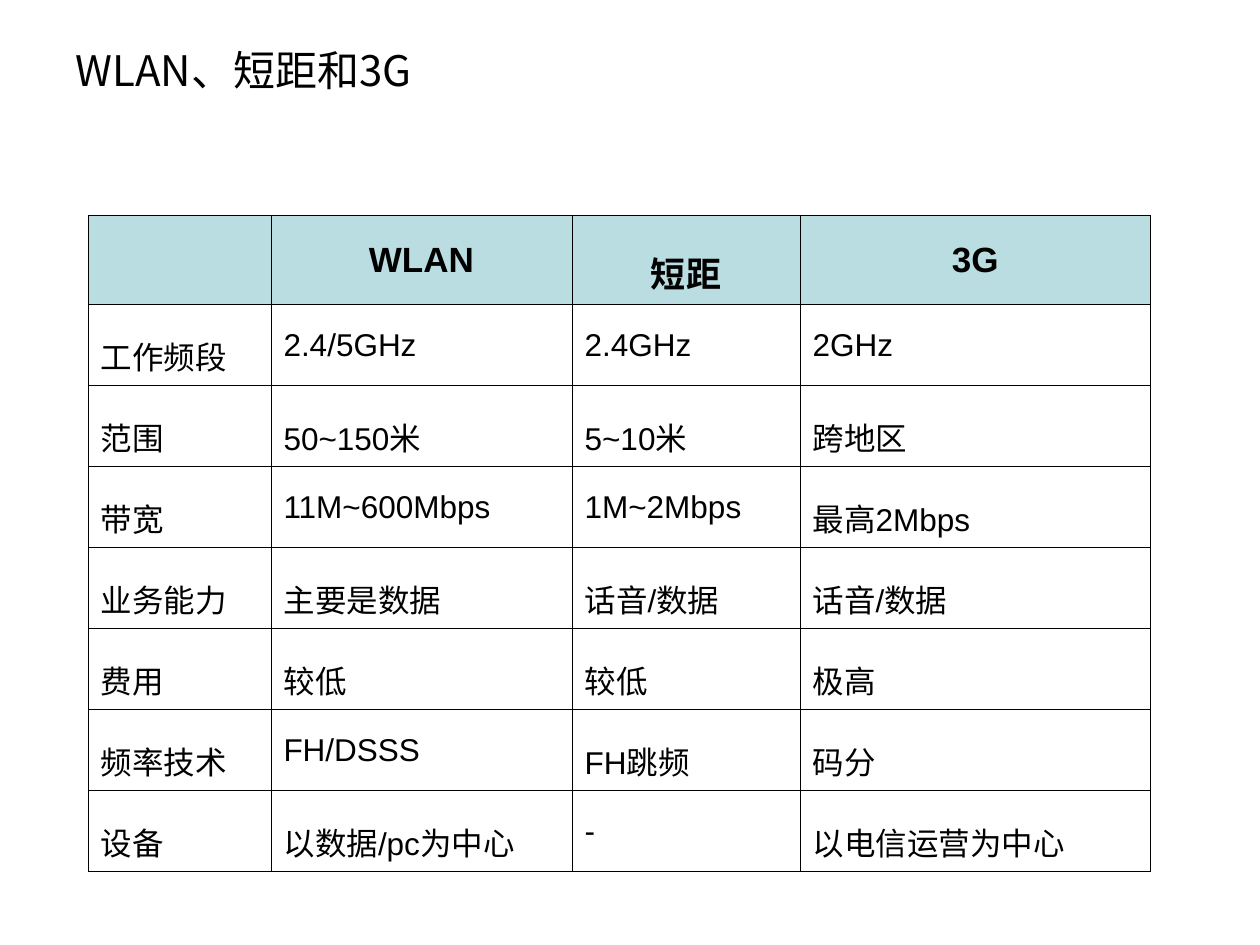
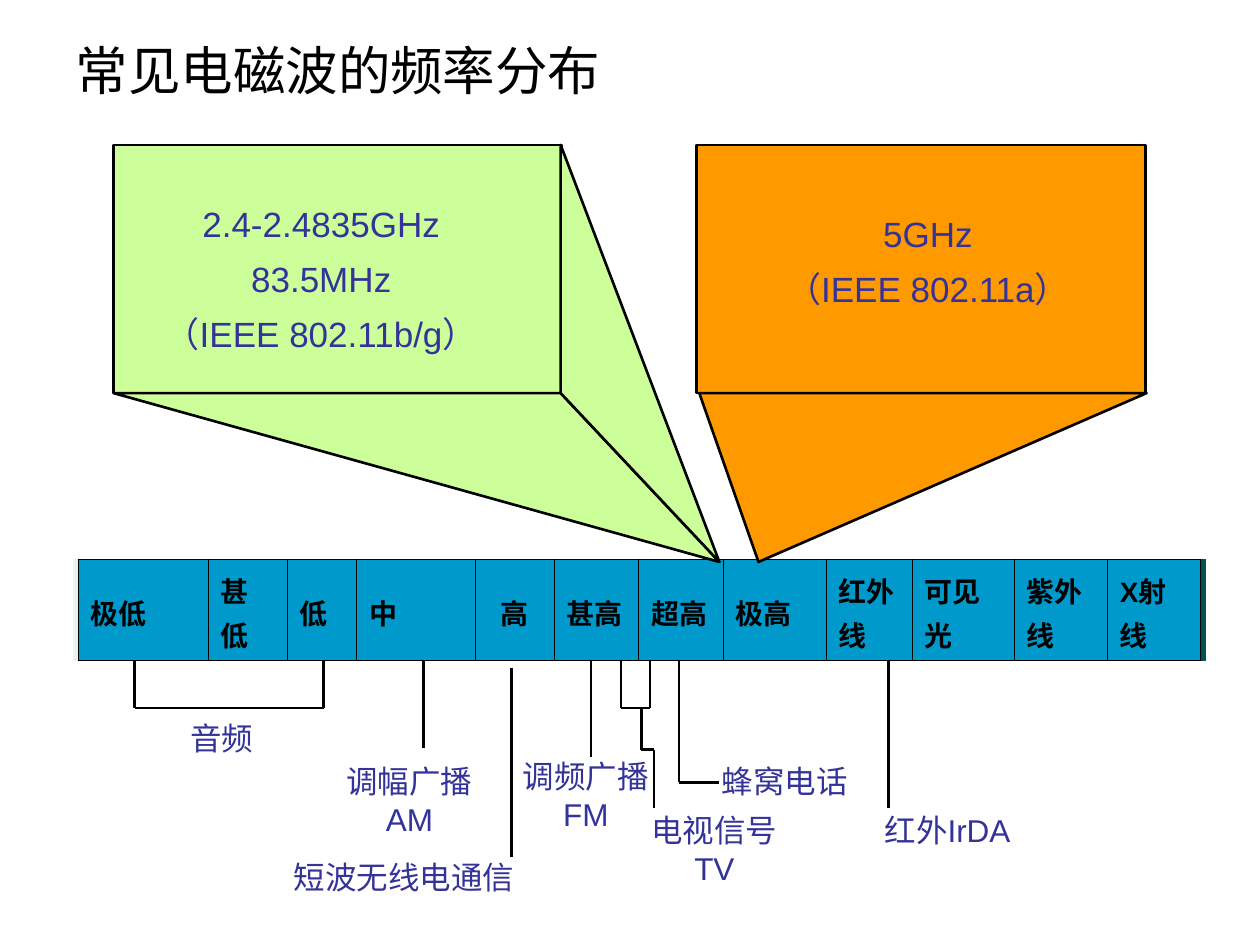
from itertools import pairwise

from lxml.etree import SubElement
from pptx import Presentation
from pptx.dml.color import RGBColor
from pptx.enum.shapes import MSO_CONNECTOR, MSO_SHAPE
from pptx.enum.text import MSO_ANCHOR, MSO_AUTO_SIZE, PP_ALIGN
from pptx.oxml import parse_xml
from pptx.oxml.ns import nsdecls, qn
from pptx.util import Inches, Pt

BLACK = RGBColor(0x00, 0x00, 0x00)
WHITE = RGBColor(0xFF, 0xFF, 0xFF)
HEADER_TEAL = RGBColor(0xBA, 0xDD, 0xE1)
BAND_BLUE = RGBColor(0x00, 0x99, 0xCC)
SHADE_LIGHT = RGBColor(0x00, 0x99, 0x99)
SHADE_DARK = RGBColor(0x00, 0x53, 0x53)
LABEL_BLUE = RGBColor(0x33, 0x33, 0x99)
GREEN = RGBColor(0xCC, 0xFF, 0x99)
ORANGE = RGBColor(0xFF, 0x99, 0x00)

LATIN_FONT = "Arial"
CHINESE_FONT = "Noto Sans CJK SC"
SLIDE_WIDTH, SLIDE_HEIGHT = Inches(10), Inches(7.5)
GRID_COLUMNS = 100
LINE_WIDTH = 1.5
THIN, MEDIUM = 0.45, 0.75

COMPARISON_COLUMNS = (14.5, 23.9, 18.1, 27.8)
COMPARISON_ROWS = (6.3, *[5.5] * 6, 6.3)
COMPARISON = (
    ("", "WLAN", "短距", "3G"),
    ("工作频段", "2.4/5GHz", "2.4GHz", "2GHz"),
    ("范围", "50~150米", "5~10米", "跨地区"),
    ("带宽", "11M~600Mbps", "1M~2Mbps", "最高2Mbps"),
    ("业务能力", "主要是数据", "话音/数据", "话音/数据"),
    ("费用", "较低", "较低", "极高"),
    ("频率技术", "FH/DSSS", "FH跳频", "码分"),
    ("设备", "以数据/pc为中心", "-", "以电信运营为中心"),
)

BANDS = (
    ("极低", 10.3), ("甚低", 6.3), ("低", 5.5), ("中", 9.4),
    ("高", 6.3), ("甚高", 6.7), ("超高", 6.7), ("极高", 8.2),
    ("红外\n线", 6.8), ("可见光", 8.1), ("紫外\n线", 7.4), ("X射线", 7.4),
)
BAND_TOP, BAND_BOTTOM, BRACKET_ROW = 44.4, 52.4, 56.2

LEADER_LINES = (
    ((10.7, BAND_BOTTOM), (10.7, BRACKET_ROW), (25.7, BRACKET_ROW), (25.7, BAND_BOTTOM)),
    ((33.6, BAND_BOTTOM), (33.6, 59.4)),
    ((40.6, 53), (40.6, 68)),
    ((46.9, BAND_BOTTOM), (46.9, 60.1)),
    ((49.3, BAND_BOTTOM), (49.3, BRACKET_ROW), (51.6, BRACKET_ROW), (51.6, BAND_BOTTOM)),
    ((50.9, BRACKET_ROW), (50.9, 59.5), (51.9, 59.5), (51.9, 64.1)),
    ((53.9, BAND_BOTTOM), (53.9, 62.1), (57.1, 62.1)),
    ((70.5, BAND_BOTTOM), (70.5, 64.1)),
)

USE_LABELS = (
    ("音频", 15.1, 57.1, 5),
    ("调幅广播\nAM", 27.5, 60.5, 10),
    ("短波无线电通信", 23.3, 68.1, 17.5),
    ("调频广播\nFM", 41.5, 60.1, 10),
    ("电视信号\nTV", 51.7, 64.4, 10),
    ("蜂窝电话", 57.3, 60.5, 10),
    ("红外IrDA", 70.2, 64.4, 10.6),
)

PANEL_TOP, PANEL_WIDTH, PANEL_HEIGHT = 11.5, 35.6, 19.7
PANEL_BOTTOM = PANEL_TOP + PANEL_HEIGHT
GREEN_LEFT, GREEN_RIGHT, GREEN_TIP = 9, 44.5, (57.1, 44.6)
ORANGE_LEFT, ORANGE_RIGHT, ORANGE_TIP = 55.3, 91, (60.2, 44.6)


def grid(count):
    """Return the length of a number of grid cells."""
    return round(SLIDE_WIDTH * count / GRID_COLUMNS)


def write_text(frame, text, *, size=18, color=BLACK, font=LATIN_FONT, bold=False,
               align=PP_ALIGN.LEFT, spacing=None):
    """Fill a text frame with one paragraph for each line of text."""
    for index, line in enumerate(text.split("\n")):
        paragraph = frame.add_paragraph() if index else frame.paragraphs[0]
        paragraph.alignment = align
        paragraph.line_spacing = spacing
        run = paragraph.add_run()
        run.text = line
        run.font.size = Pt(size)
        run.font.bold = bold
        run.font.name = font
        run.font.color.rgb = color
        SubElement(run.font._element, qn("a:ea"), typeface=CHINESE_FONT)


def add_titled_slide(presentation, title, size):
    """Add a slide with the shared title style."""
    slide = presentation.slides.add_slide(presentation.slide_layouts[5])
    shape = slide.shapes.title
    shape.left, shape.top, shape.width, shape.height = map(grid, (5, 1.3, 82, 8.5))
    frame = shape.text_frame
    frame.auto_size = MSO_AUTO_SIZE.NONE
    frame.vertical_anchor = MSO_ANCHOR.MIDDLE
    write_text(frame, title, size=size, font=CHINESE_FONT)
    return slide


def add_label(slide, text, left, top, width, height, **text_format):
    """Add an unwrapped text box without margins."""
    frame = slide.shapes.add_textbox(*map(grid, (left, top, width, height))).text_frame
    frame.margin_left = frame.margin_top = frame.margin_right = frame.margin_bottom = 0
    frame.word_wrap = False
    write_text(frame, text, color=LABEL_BLUE, **text_format)


def add_grid_table(slide, left, top, columns, rows):
    """Add a plain table with the given column widths and row heights."""
    table = slide.shapes.add_table(
        len(rows), len(columns), *map(grid, (left, top, sum(columns), sum(rows)))).table
    table.first_row = table.horz_banding = False
    for column, width in zip(table.columns, columns):
        column.width = grid(width)
    for row, height in zip(table.rows, rows):
        row.height = grid(height)
    return table


def style_cell(cell, fill, **borders):
    """Set the fill of a cell and the widths of its borders."""
    cell.fill.solid()
    cell.fill.fore_color.rgb = fill
    properties = cell._tc.get_or_add_tcPr()
    for index, side in enumerate("LRTB"):
        width = Pt(borders.get(side, THIN))
        properties.insert(index, parse_xml(
            f'<a:ln{side} {nsdecls("a")} w="{width}"><a:solidFill>'
            f'<a:srgbClr val="{BLACK}"/></a:solidFill></a:ln{side}>'))


def add_trace(slide, points):
    """Join points with straight lines."""
    for start, end in pairwise(points):
        line = slide.shapes.add_connector(MSO_CONNECTOR.STRAIGHT, *map(grid, start + end))
        line.line.color.rgb = BLACK
        line.line.width = Pt(LINE_WIDTH)
        SubElement(line._element.spPr, qn("a:effectLst"))


def style_shape(shape, fill):
    """Give a shape a flat fill and a black outline."""
    shape.shadow.inherit = False
    shape.fill.solid()
    shape.fill.fore_color.rgb = fill
    shape.line.color.rgb = BLACK
    shape.line.width = Pt(LINE_WIDTH)


def add_panel(slide, left, fill):
    """Add a frequency panel above the spectrum."""
    style_shape(slide.shapes.add_shape(
        MSO_SHAPE.RECTANGLE, *map(grid, (left, PANEL_TOP, PANEL_WIDTH, PANEL_HEIGHT))), fill)


def add_funnel(slide, fill, *points):
    """Add a closed outline that points from a panel to the spectrum."""
    start, *others = [tuple(map(grid, point)) for point in points]
    builder = slide.shapes.build_freeform(*start)
    builder.add_line_segments(others, close=True)
    style_shape(builder.convert_to_shape(), fill)


def add_band_shade(slide):
    """Add the graded bar behind the spectrum."""
    shade = slide.shapes.add_shape(
        MSO_SHAPE.RECTANGLE, *map(grid, (5.8, BAND_TOP, 89.9, BAND_BOTTOM - BAND_TOP)))
    shade.shadow.inherit = False
    shade.line.fill.background()
    shade.fill.gradient()
    shade.fill.gradient_angle = 0
    for stop, color in zip(shade.fill.gradient_stops, (SHADE_LIGHT, SHADE_DARK)):
        stop.color.rgb = color
    first_color = next(shade._element.spPr.iter(qn("a:srgbClr")))
    SubElement(first_color, qn("a:alpha"), val="10000")


def add_comparison(slide):
    """Add the table that compares the three technologies."""
    table = add_grid_table(slide, 7, 17.1, COMPARISON_COLUMNS, COMPARISON_ROWS)
    for row, texts in enumerate(COMPARISON):
        header = row == 0
        for column, text in enumerate(texts):
            cell = table.cell(row, column)
            style_cell(cell, WHITE if row else HEADER_TEAL)
            if text:
                write_text(cell.text_frame, text, size=20 if header else 18, bold=header,
                           align=PP_ALIGN.CENTER if header else PP_ALIGN.LEFT, spacing=1.5)


def add_spectrum(slide):
    """Add the one-row table of frequency bands."""
    table = add_grid_table(slide, 6.2, BAND_TOP, [width for _, width in BANDS], [7.9])
    last = len(BANDS) - 1
    for column, (text, _) in enumerate(BANDS):
        cell = table.cell(0, column)
        cell.vertical_anchor = MSO_ANCHOR.MIDDLE
        style_cell(cell, BAND_BLUE, T=MEDIUM, B=MEDIUM,
                   L=THIN if column else MEDIUM, R=MEDIUM if column == last else THIN)
        write_text(cell.text_frame, text, size=16, bold=True, spacing=1.1,
                   align=PP_ALIGN.CENTER if text == "高" else PP_ALIGN.LEFT)


def add_uses(slide):
    """Add the leader lines and labels below the spectrum."""
    for points in LEADER_LINES:
        add_trace(slide, points)
    for text, left, top, width in USE_LABELS:
        lines = text.count("\n") + 1
        add_label(slide, text, left, top, width, 3 * lines,
                  align=PP_ALIGN.CENTER if lines > 1 else PP_ALIGN.LEFT)


def add_wireless_panels(slide):
    """Add the two panels with their texts and funnels."""
    add_panel(slide, ORANGE_LEFT, ORANGE)
    add_panel(slide, GREEN_LEFT, GREEN)
    panel_format = dict(size=20, align=PP_ALIGN.CENTER, spacing=1.3)
    add_label(slide, "2.4-2.4835GHz\n83.5MHz\n（IEEE 802.11b/g）",
              12.3, 15.1, 26.4, 13, **panel_format)
    add_label(slide, "5GHz\n（IEEE 802.11a）", 61.6, 15.9, 24.1, 8.7, **panel_format)
    green_corner = (GREEN_RIGHT, PANEL_BOTTOM)
    add_funnel(slide, GREEN, green_corner, GREEN_TIP, (GREEN_LEFT, PANEL_BOTTOM))
    add_funnel(slide, ORANGE, (55.5, PANEL_BOTTOM), (ORANGE_RIGHT, PANEL_BOTTOM), ORANGE_TIP)
    add_funnel(slide, GREEN, (GREEN_RIGHT, PANEL_TOP), green_corner, GREEN_TIP)


def main():
    """Build and save the presentation."""
    presentation = Presentation()
    presentation.slide_width, presentation.slide_height = SLIDE_WIDTH, SLIDE_HEIGHT

    add_comparison(add_titled_slide(presentation, "WLAN、短距和3G", 24))

    slide = add_titled_slide(presentation, "常见电磁波的频率分布", 30)
    add_band_shade(slide)
    add_spectrum(slide)
    add_uses(slide)
    add_wireless_panels(slide)

    presentation.save("out.pptx")


if __name__ == "__main__":
    main()
